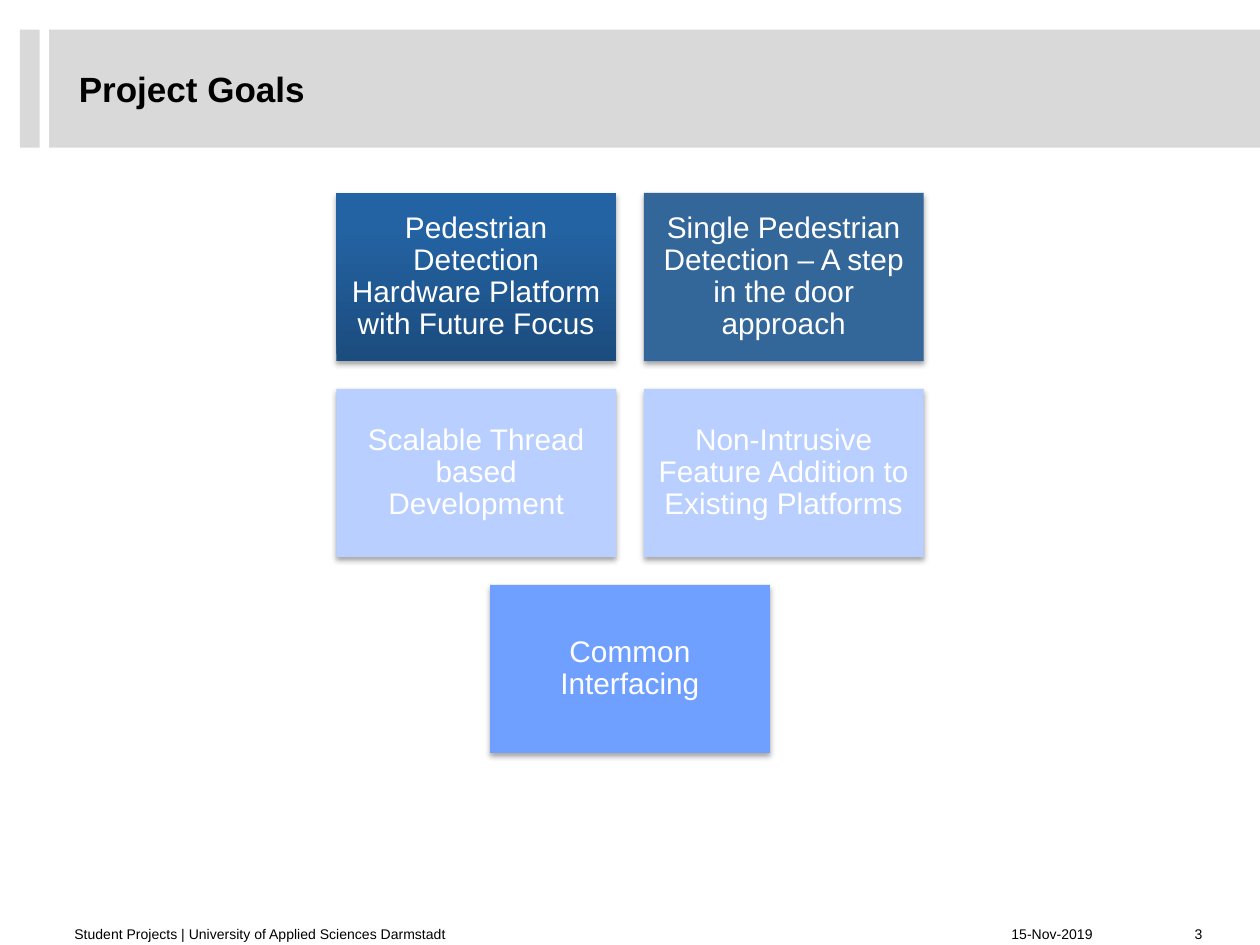
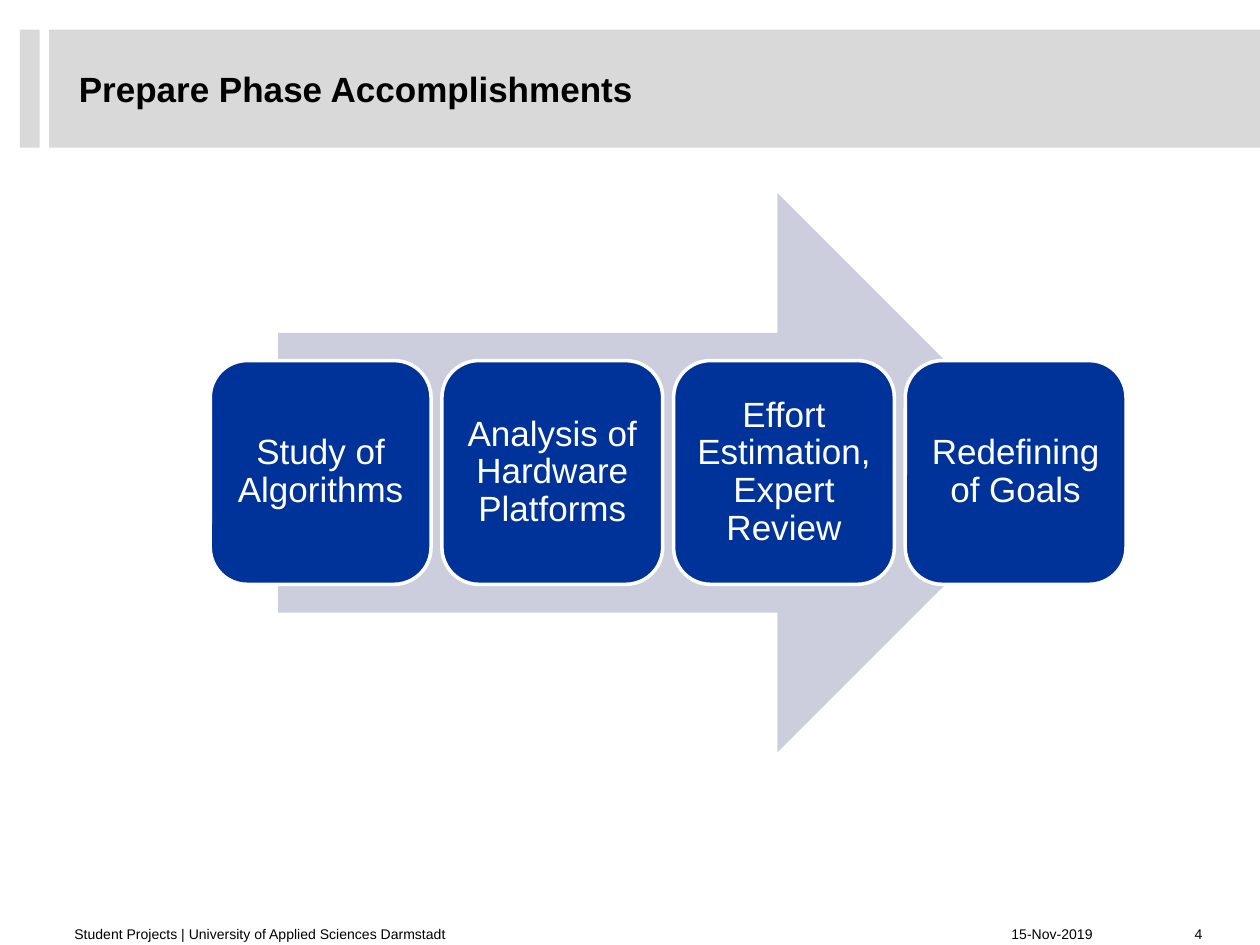
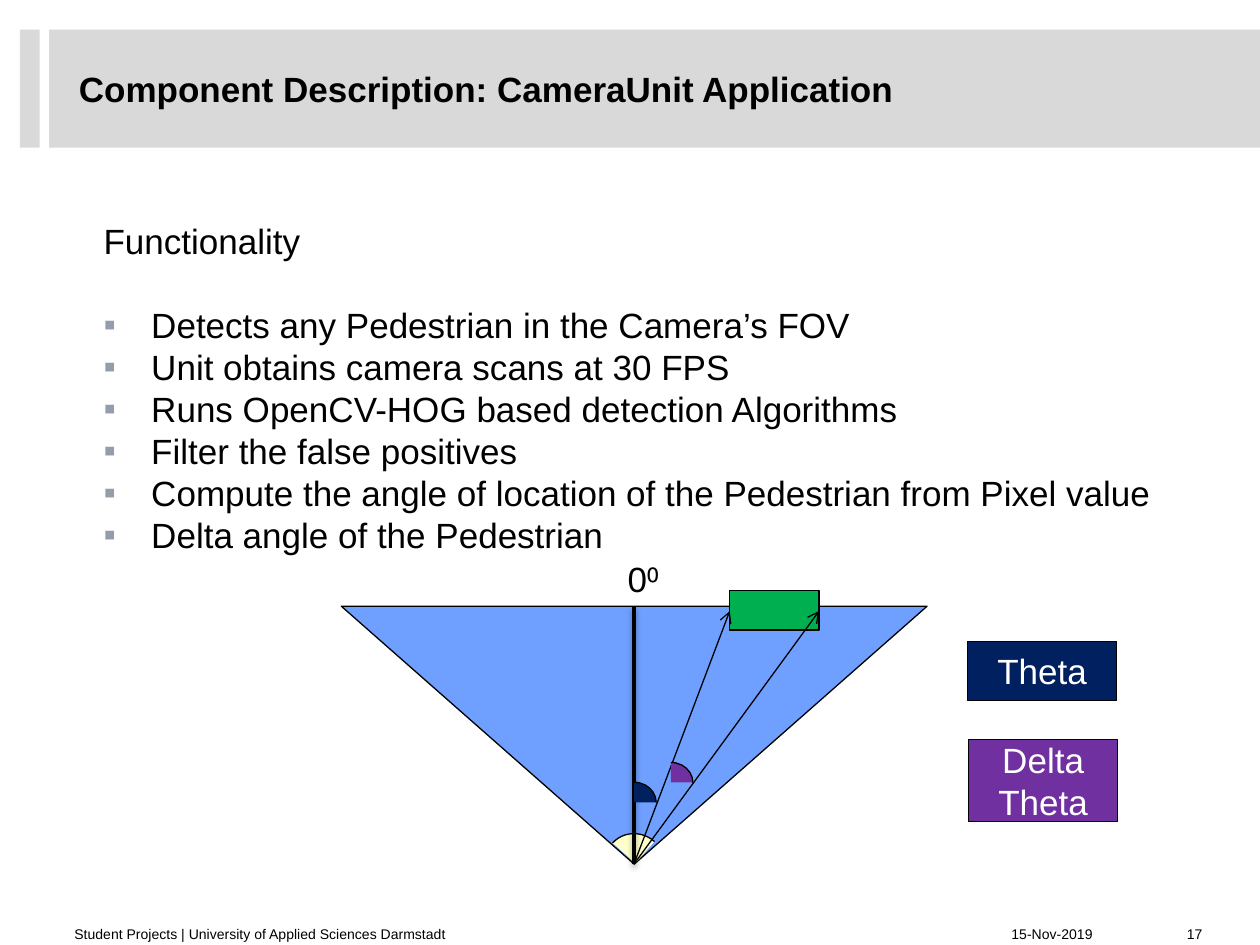
from copy import deepcopy

from lxml import etree
from pptx import Presentation
from pptx.dml.color import RGBColor
from pptx.enum.shapes import MSO_CONNECTOR, MSO_SHAPE
from pptx.enum.text import MSO_ANCHOR, PP_ALIGN
from pptx.oxml import parse_xml
from pptx.oxml.ns import nsdecls, qn
from pptx.util import Cm, Pt

FONT = "Arial"
BLACK = RGBColor(0x00, 0x00, 0x00)
WHITE = RGBColor(0xFF, 0xFF, 0xFF)
BAND_GREY = RGBColor(0xD9, 0xD9, 0xD9)
GRAD_DARK = RGBColor(0x1B, 0x4C, 0x7E)
GRAD_LIGHT = RGBColor(0x23, 0x63, 0xA3)
STEEL = RGBColor(0x33, 0x66, 0x99)
PALE_BLUE = RGBColor(0xB8, 0xCF, 0xFF)
SKY_BLUE = RGBColor(0x70, 0xA0, 0xFF)
ARROW_GREY = RGBColor(0xCC, 0xCE, 0xDE)
ROYAL = RGBColor(0x00, 0x33, 0x99)
CREAM = RGBColor(0xFF, 0xFF, 0xCC)
GREEN = RGBColor(0x00, 0xB0, 0x50)
NAVY = RGBColor(0x00, 0x20, 0x60)
PURPLE = RGBColor(0x70, 0x30, 0xA0)

SHADOW = parse_xml(
    f'<a:outerShdw {nsdecls("a")} blurRad="40000" dist="23000" dir="5400000" rotWithShape="0">'
    '<a:srgbClr val="000000"><a:alpha val="35000"/></a:srgbClr></a:outerShdw>')


def add_block(s, kind, box, fill, line=None, width=0.75):
    """Preset shape with a plain fill, an optional outline and no shadow."""
    sp = s.shapes.add_shape(kind, *[Cm(v) for v in box])
    sp.shadow.inherit = False
    sp.fill.solid()
    sp.fill.fore_color.rgb = fill
    if line is None:
        sp.line.fill.background()
    else:
        sp.line.color.rgb = line
        sp.line.width = Pt(width)
    return sp


def set_text(sp, text, size, color=BLACK, align=PP_ALIGN.LEFT,
             anchor=MSO_ANCHOR.MIDDLE, insets=(0, 0, 0, 0), spacing=None):
    """Text of a shape or text box, one paragraph per line."""
    tf = sp.text_frame
    tf.word_wrap = True
    tf.vertical_anchor = anchor
    tf.margin_left, tf.margin_top, tf.margin_right, tf.margin_bottom = [Cm(v) for v in insets]
    tf.text = text
    for p in tf.paragraphs:
        p.alignment = align
        p.line_spacing = spacing
        for r in p.runs:
            r.font.name = FONT
            r.font.size = Pt(size)
            r.font.color.rgb = color
    return tf


prs = Presentation()
prs.slide_width, prs.slide_height = Cm(25.4), Cm(19.05)

# Shared bands, title and footer: title, title width, slide number
slides = []
for title, title_width, number in [
    ("Project Goals", 15.01, "3"),
    ("Prepare Phase Accomplishments", 15.01, "4"),
    ("Component Description: CameraUnit Application", 17.93, "17"),
]:
    s = prs.slides.add_slide(prs.slide_layouts[6])
    slides.append(s)
    for left, width in [(0.99, 24.41), (0.4, 0.4)]:
        add_block(s, MSO_SHAPE.RECTANGLE, (left, 0.6, width, 2.38), BAND_GREY)
    sp = s.shapes.add_textbox(Cm(1.59), Cm(0.79), Cm(title_width), Cm(1.98))
    tf = set_text(sp, title, 20, spacing=Pt(24))
    tf.paragraphs[0].runs[0].font.bold = True
    for text, left, width, inset, align in [
        ("Student Projects | University of Applied Sciences Darmstadt", 1.5, 18.49, 0, PP_ALIGN.LEFT),
        (number, 23.14, 1.35, 0.25, PP_ALIGN.RIGHT),
        ("15-Nov-2019", 20.14, 2.9, 0.25, PP_ALIGN.LEFT),
    ]:
        sp = s.shapes.add_textbox(Cm(left), Cm(18.48), Cm(width), Cm(0.52))
        set_text(sp, text, 8, align=align, anchor=MSO_ANCHOR.BOTTOM, insets=(inset, 0, 0.25, 0))
goals, phases, camera = slides

# Project goals: centred rows of tiles
TILE_W, TILE_H, TILE_GAP = 5.64, 3.39, 0.56
goal_rows = [
    [("Pedestrian Detection Hardware Platform with Future Focus", GRAD_LIGHT),
     ("Single Pedestrian Detection – A step in the door approach", STEEL)],
    [("Scalable Thread based Development", PALE_BLUE),
     ("Non-Intrusive Feature Addition to Existing Platforms", PALE_BLUE)],
    [("Common Interfacing", SKY_BLUE)],
]
for row, tiles in enumerate(goal_rows):
    row_width = len(tiles) * (TILE_W + TILE_GAP) - TILE_GAP
    for col, (text, color) in enumerate(tiles):
        left = 12.7 - row_width / 2 + col * (TILE_W + TILE_GAP)
        top = 3.89 + row * (TILE_H + TILE_GAP)
        sp = add_block(goals, MSO_SHAPE.RECTANGLE, (left, top, TILE_W, TILE_H), color)
        sp._element.spPr.find(qn("a:effectLst")).append(deepcopy(SHADOW))
        set_text(sp, text, 17, WHITE, PP_ALIGN.CENTER, insets=[0.18] * 4, spacing=0.9)
        if color == GRAD_LIGHT:
            sp.fill.gradient()
            sp.fill.gradient_angle = 90
            for stop, rgb, position in zip(sp.fill.gradient_stops, (GRAD_DARK, GRAD_LIGHT), (0, 0.8)):
                stop.color.rgb = rgb
                stop.position = position

# Prepare phase: steps on a large arrow
add_block(phases, MSO_SHAPE.RIGHT_ARROW, (5.61, 3.89, 15.7, 11.28), ARROW_GREY)
for i, text in enumerate(["Study of Algorithms", "Analysis of Hardware Platforms",
                          "Effort Estimation, Expert Review", "Redefining of Goals"]):
    sp = add_block(phases, MSO_SHAPE.ROUNDED_RECTANGLE, (4.24 + i * 4.67, 7.27, 4.45, 4.51),
                   ROYAL, WHITE, 2)
    set_text(sp, text, 20, WHITE, PP_ALIGN.CENTER, insets=[0.21] * 4, spacing=0.9)

# Camera application: functionality list
functions = [
    "Functionality",
    "Detects any Pedestrian in the Camera’s FOV",
    "Unit obtains camera scans at 30 FPS",
    "Runs OpenCV-HOG based detection Algorithms",
    "Filter the false positives",
    "Compute the angle of location of the Pedestrian from Pixel value",
    "Delta angle of the Pedestrian",
]
sp = camera.shapes.add_textbox(Cm(1.07), Cm(4.42), Cm(23.44), Cm(13))
tf = set_text(sp, "\n".join(functions), 20, align=PP_ALIGN.JUSTIFY, anchor=MSO_ANCHOR.TOP)
heading, *items = tf.paragraphs
heading.space_after = Pt(24)
heading._p.get_or_add_pPr().set("marL", str(Cm(1.02)))
for p in items:
    pPr = p._p.get_or_add_pPr()
    pPr.set("marL", str(Cm(1.98)))
    pPr.set("indent", str(Cm(-0.96)))
    color = etree.SubElement(pPr, qn("a:buClr"))
    etree.SubElement(color, qn("a:srgbClr"), val="949EAA")
    etree.SubElement(pPr, qn("a:buFont"), typeface=FONT)
    etree.SubElement(pPr, qn("a:buChar"), char="▪")

# Field of view with its opening angle
APEX = (12.78, 17.42)
fov = add_block(camera, MSO_SHAPE.ISOSCELES_TRIANGLE, (6.88, 12.22, 11.81, 5.2), SKY_BLUE, BLACK)
fov.rotation = 180
opening = add_block(camera, MSO_SHAPE.ARC, (12.22, 16.79, 1.17, 1.22), CREAM, BLACK)
opening.rotation = 311.9
sp = camera.shapes.add_textbox(Cm(12.4), Cm(11.1), Cm(1.14), Cm(1.12))
tf = set_text(sp, "0⁰", 20, align=PP_ALIGN.CENTER, anchor=MSO_ANCHOR.TOP,
              insets=(0.25, 0.13, 0.25, 0.13))
tf.word_wrap = False

# Pedestrian, sight lines and centre axis
add_block(camera, MSO_SHAPE.RECTANGLE, (14.71, 11.91, 1.8, 0.79), GREEN, BLACK)
for end_x, end_y, width, is_axis in [
    (14.71, 12.32, 0.75, False),
    (16.51, 12.32, 0.75, False),
    (12.78, 12.22, 2, True),
]:
    line = camera.shapes.add_connector(MSO_CONNECTOR.STRAIGHT, Cm(APEX[0]), Cm(APEX[1]),
                                       Cm(end_x), Cm(end_y))
    line.line.color.rgb = BLACK
    line.line.width = Pt(width)
    effects = etree.SubElement(line._element.spPr, qn("a:effectLst"))
    if is_axis:
        effects.append(deepcopy(SHADOW))
    else:
        etree.SubElement(line.line._get_or_add_ln(), qn("a:tailEnd"), type="arrow")

# Angle marks and their legend
for left, top, color in [(12.34, 15.77, NAVY), (13.08, 15.37, PURPLE)]:
    add_block(camera, MSO_SHAPE.ARC, (left, top, 0.89, 0.81), color, BLACK)
for text, left, top, height, color in [
    ("Theta", 19.51, 12.93, 1.19, NAVY),
    ("Delta Theta", 19.53, 14.91, 1.65, PURPLE),
]:
    sp = add_block(camera, MSO_SHAPE.RECTANGLE, (left, top, 3, height), color, BLACK)
    set_text(sp, text, 20, WHITE, PP_ALIGN.CENTER, insets=[0.2] * 4)

prs.save("out.pptx")
